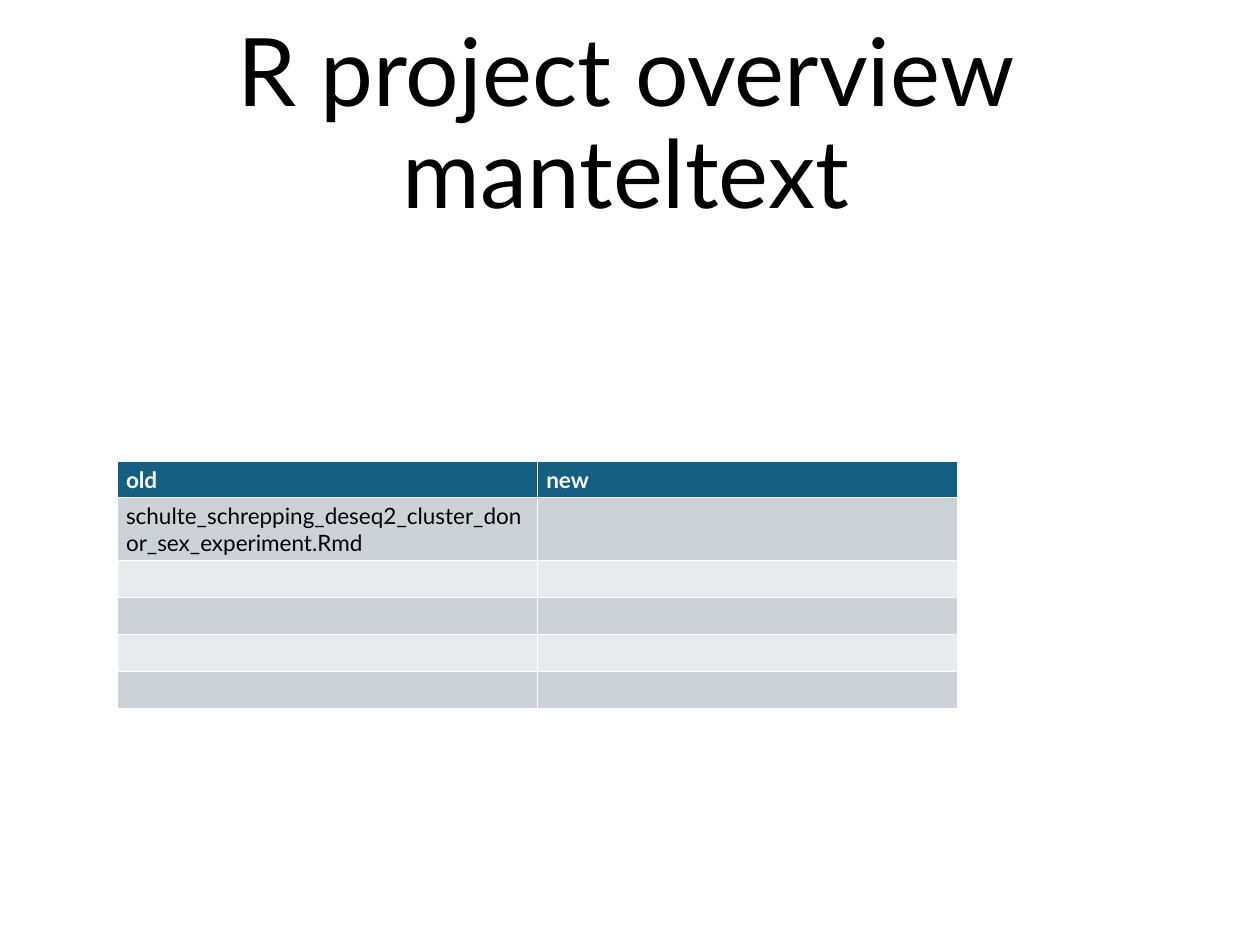
from dataclasses import dataclass

from pptx import Presentation
from pptx.dml.color import RGBColor
from pptx.enum.text import MSO_ANCHOR, PP_ALIGN
from pptx.util import Inches, Pt

BOTTOM = MSO_ANCHOR.BOTTOM
CENTER = PP_ALIGN.CENTER

FONT = "Lato"
BLACK = RGBColor(0x00, 0x00, 0x00)
WHITE = RGBColor(0xFF, 0xFF, 0xFF)
HEADER_FILL = RGBColor(0x15, 0x60, 0x82)
BAND_FILLS = (RGBColor(0xCC, 0xD2, 0xD8), RGBColor(0xE8, 0xEA, 0xED))


@dataclass(frozen=True)
class TextStyle:
    size: float
    color: RGBColor
    bold: bool = False


TITLE = TextStyle(75.6, BLACK)
HEADER = TextStyle(18, WHITE, bold=True)
BODY = TextStyle(18, BLACK)

TITLE_LINES = ("R project overview", "manteltext")
FILE_ROWS = (
    ("old", "new"),
    ("schulte_schrepping_deseq2_cluster_donor_sex_experiment.Rmd", ""),
    ("", ""),
    ("", ""),
    ("", ""),
    ("", ""),
)


def add_run(p, text: str, style: TextStyle) -> None:
    r = p.add_run()
    r.text = text
    r.font.name = FONT
    r.font.size = Pt(style.size)
    r.font.bold = style.bold
    r.font.color.rgb = style.color


def add_title(slide) -> None:
    sp = slide.shapes.add_textbox(Inches(0.92), Inches(0.28), Inches(12.07), Inches(2.31))
    tf = sp.text_frame
    tf.word_wrap = True
    tf.vertical_anchor = BOTTOM
    p = tf.paragraphs[0]
    p.alignment = CENTER
    p.line_spacing = 0.9
    for i, line in enumerate(TITLE_LINES):
        if i:
            p.add_line_break()
        add_run(p, line, TITLE)


def add_file_table(slide) -> None:
    """Draw the renaming table; its default style supplies the white rules."""
    frame = slide.shapes.add_table(
        len(FILE_ROWS), 2, Inches(1.3), Inches(5.13), Inches(9.33), Inches(2.2)
    )
    table = frame.table
    for column in table.columns:
        column.width = Inches(4.67)
    for i, texts in enumerate(FILE_ROWS):
        table.rows[i].height = Inches(0.41 if i else 0.15)
        for j, text in enumerate(texts):
            cell = table.cell(i, j)
            cell.fill.solid()
            cell.fill.fore_color.rgb = BAND_FILLS[(i - 1) % 2] if i else HEADER_FILL
            if text:
                add_run(cell.text_frame.paragraphs[0], text, BODY if i else HEADER)


def main() -> None:
    prs = Presentation()
    prs.slide_width = Inches(14)
    prs.slide_height = Inches(10.5)
    slide = prs.slides.add_slide(prs.slide_layouts[6])
    add_title(slide)
    add_file_table(slide)
    prs.save("out.pptx")


if __name__ == "__main__":
    main()
